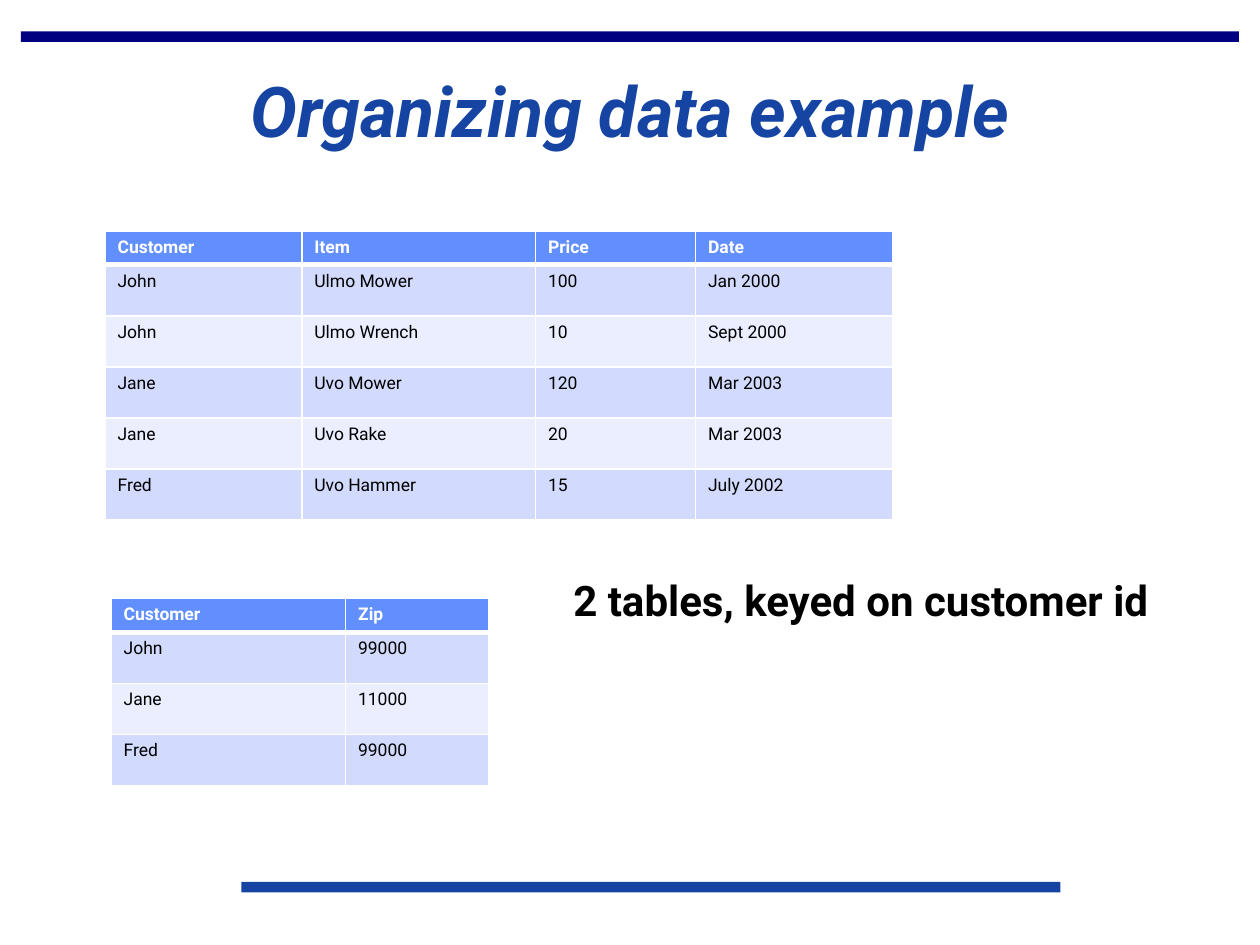
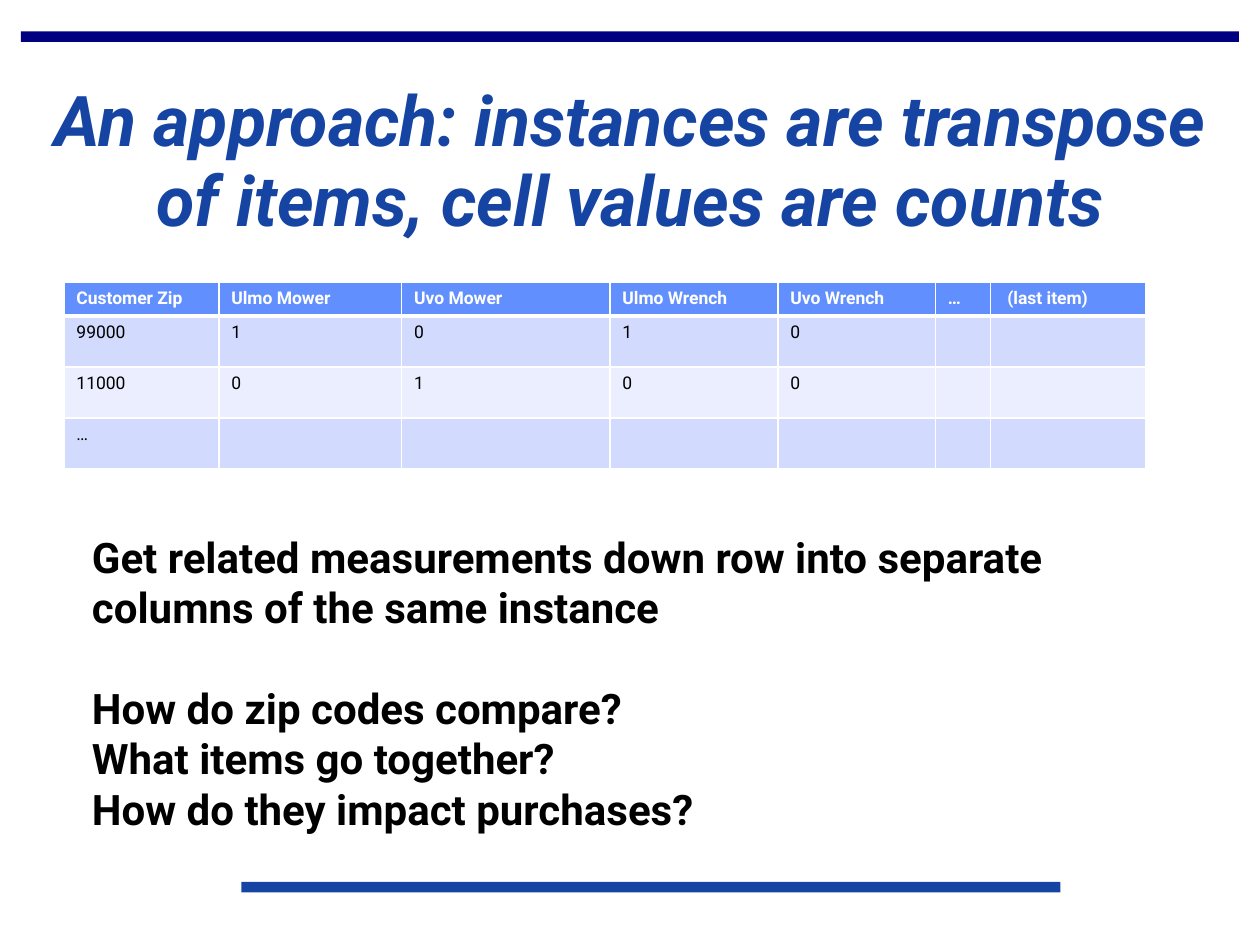
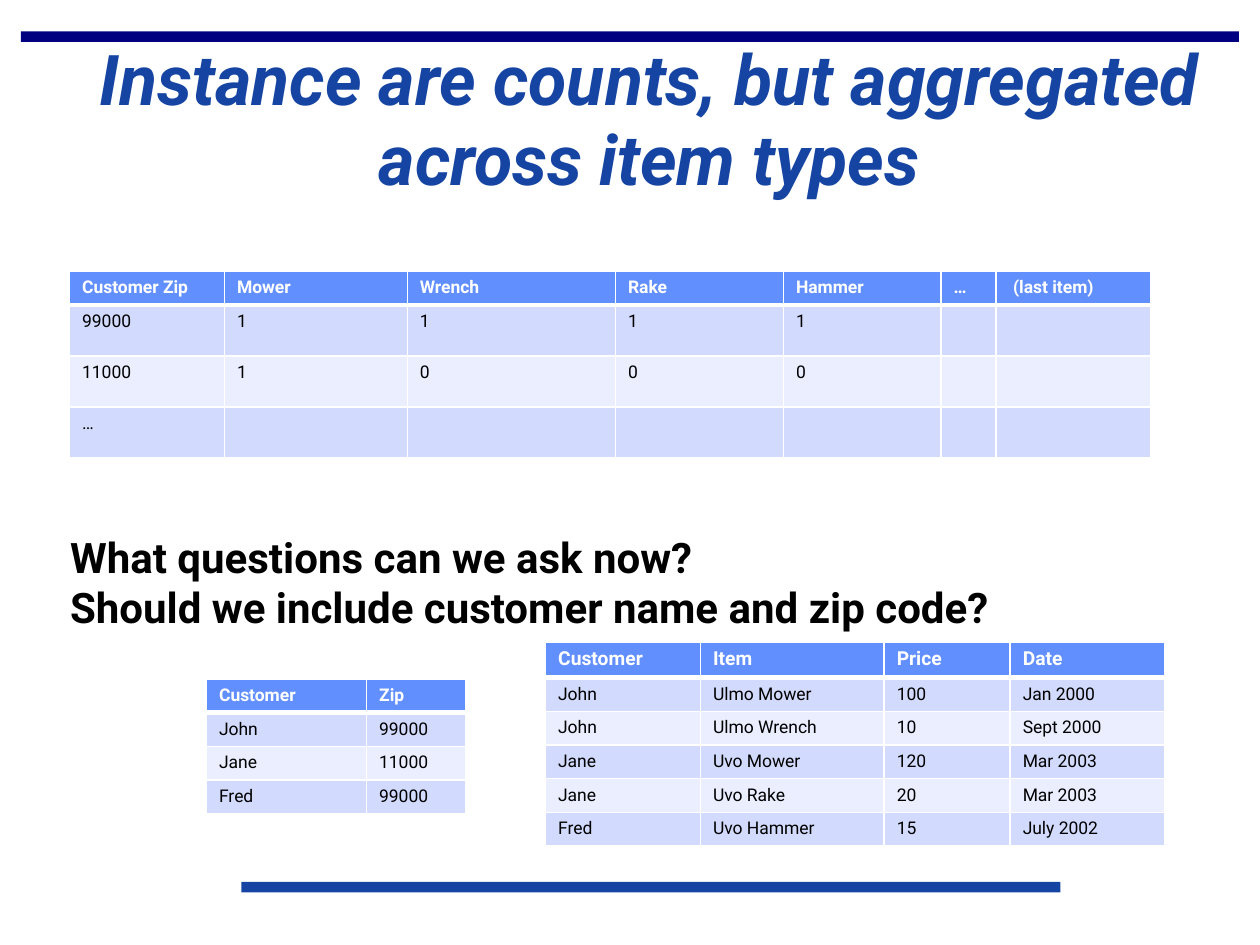
from dataclasses import dataclass

from lxml.etree import SubElement
from pptx import Presentation
from pptx.dml.color import RGBColor as RGB
from pptx.enum.shapes import MSO_SHAPE as Preset
from pptx.enum.text import MSO_ANCHOR as Anchor, PP_ALIGN as Align
from pptx.oxml.ns import qn
from pptx.util import Pt


@dataclass(frozen=True)
class Theme:
    font: str = "Roboto"
    navy: str = "000080"
    blue: str = "1544A3"
    header: str = "618FFD"
    bands: tuple = ("D2DBFE", "EAEEFF")
    white: str = "FFFFFF"
    black: str = "000000"
    title_size: float = 40
    body_size: float = 24
    cell_size: float = 10
    title_spacing: float = 0.95
    title_line: float = 48
    body_line: float = 28.8


THEME = Theme()

# Data shown on more than one slide
PURCHASES = [
    ("Customer", "Item", "Price", "Date"),
    ("John", "Ulmo Mower", "100", "Jan 2000"),
    ("John", "Ulmo Wrench", "10", "Sept 2000"),
    ("Jane", "Uvo Mower", "120", "Mar 2003"),
    ("Jane", "Uvo Rake", "20", "Mar 2003"),
    ("Fred", "Uvo Hammer", "15", "July 2002"),
]
ZIP_CODES = [
    ("Customer", "Zip"),
    ("John", "99000"),
    ("Jane", "11000"),
    ("Fred", "99000"),
]
COUNT_WIDTHS = (88.5, 104.5, 119, 96, 90, 31.5, 88.5)


def count_rows(items, first_counts, second_counts):
    """Rows of a count table: one column per item, one row per zip code."""
    return [
        ("Customer Zip", *items, "…", " (last item)"),
        ("99000", *first_counts, "", ""),
        ("11000", *second_counts, "", ""),
        ("…",) + ("",) * 6,
    ]


def format_runs(paragraph, size, color, bold=False, italic=False):
    for run in paragraph.runs:
        font = run.font
        font.name, font.size = THEME.font, Pt(size)
        font.bold, font.italic = bold, italic
        font.color.rgb = RGB.from_string(color)


def add_bar(slide, left, top, width, color):
    bar = slide.shapes.add_shape(Preset.RECTANGLE, Pt(left), Pt(top), Pt(width), Pt(6))
    bar.shadow.inherit = False
    bar.fill.solid()
    bar.fill.fore_color.rgb = RGB.from_string(color)
    bar.line.fill.background()


def add_text_box(slide, left, top, width, height):
    box = slide.shapes.add_textbox(Pt(left), Pt(top), Pt(width), Pt(height))
    box.text_frame.word_wrap = True
    return box.text_frame


def add_title(slide, text, left, top, raised_lines=0):
    """Title centred in its box; raised_lines keeps room free below the text."""
    text_frame = add_text_box(slide, left, top, 696, 82)
    text_frame.vertical_anchor = Anchor.MIDDLE
    text_frame.margin_bottom = Pt(3.6 + raised_lines * THEME.title_line)
    text_frame.text = text
    paragraph = text_frame.paragraphs[0]
    paragraph.alignment = Align.CENTER
    paragraph.line_spacing = THEME.title_spacing
    format_runs(paragraph, THEME.title_size, THEME.blue, bold=True, italic=True)


def add_body(slide, lines, left, top, width, height):
    text_frame = add_text_box(slide, left, top, width, height)
    text_frame.text = "\n".join(lines)
    for paragraph in text_frame.paragraphs:
        format_runs(paragraph, THEME.body_size, THEME.black, bold=True)
    return text_frame


def set_borders(cell, bottom_width):
    properties = cell._tc.get_or_add_tcPr()
    for side, width in (("L", 1), ("R", 1), ("T", 1), ("B", bottom_width)):
        line = SubElement(properties, qn(f"a:ln{side}"), w=str(Pt(width)))
        fill = SubElement(line, qn("a:solidFill"))
        SubElement(fill, qn("a:srgbClr"), val=THEME.white)


def add_data_table(slide, rows, left, top, widths, header_height=18,
                   row_height=29.2, header_size=THEME.cell_size):
    heights = [header_height] + [row_height] * (len(rows) - 1)
    table = slide.shapes.add_table(
        len(rows), len(widths), Pt(left), Pt(top), Pt(sum(widths)), Pt(sum(heights))
    ).table
    table.horz_banding = False
    for column, width in zip(table.columns, widths):
        column.width = Pt(width)
    for index, (row, height, values) in enumerate(zip(table.rows, heights, rows)):
        row.height = Pt(height)
        is_header = index == 0
        fill = THEME.header if is_header else THEME.bands[(index - 1) % 2]
        size = header_size if is_header else THEME.cell_size
        color = THEME.white if is_header else THEME.black
        for cell, value in zip(row.cells, values):
            cell.text = value
            format_runs(cell.text_frame.paragraphs[0], size, color, bold=is_header)
            set_borders(cell, 3 if is_header else 1)
            cell.fill.solid()
            cell.fill.fore_color.rgb = RGB.from_string(fill)


def add_slide(presentation):
    """Blank slide with the shared bars at top and bottom."""
    slide = presentation.slides.add_slide(presentation.slide_layouts[6])
    add_bar(slide, 12, 18, 696, THEME.navy)
    add_bar(slide, 138, 504, 468, THEME.blue)
    return slide


def build_source_tables(presentation):
    slide = add_slide(presentation)
    add_title(slide, "Organizing data example", 12, 24)
    add_data_table(slide, ZIP_CODES, 63.5, 342, (134, 82))
    add_data_table(slide, PURCHASES, 60, 132, (112.5, 133.5, 91.5, 112.5))
    add_body(slide, ["2 tables, keyed on customer id"], 320.5, 325, 367, 65.5)


def build_item_counts(presentation):
    slide = add_slide(presentation)
    add_title(
        slide,
        "An approach: instances are transpose of items, cell values are counts",
        12, 52,
    )
    items = ("Ulmo Mower", "Uvo Mower", "Ulmo Wrench", "Uvo Wrench")
    add_data_table(slide, count_rows(items, "1010", "0100"), 36.5, 161.25, COUNT_WIDTHS)
    body = add_body(
        slide,
        [
            "Get related measurements down row into separate columns of the same instance",
            "How do zip codes compare?",
            "What items go together?",
            "How do they impact purchases?",
        ],
        45.5, 300, 620, 181.5,
    )
    body.paragraphs[0].space_after = Pt(THEME.body_line)


def build_type_counts(presentation):
    slide = add_slide(presentation)
    add_data_table(slide, PURCHASES, 311.75, 366.75, (88.5, 105, 72, 88.5),
                   header_height=19, row_height=18.6, header_size=11)
    items = ("Mower", "Wrench", "Rake", "Hammer")
    add_data_table(slide, count_rows(items, "1111", "1000"), 39.75, 155, COUNT_WIDTHS)
    add_body(
        slide,
        [
            "What questions can we ask now?",
            "Should we include customer name and zip code?",
        ],
        33, 300, 620, 94.5,
    )
    add_title(
        slide,
        "Instance are counts, but aggregated across item types",
        23, 52.5, raised_lines=1,
    )
    add_data_table(slide, ZIP_CODES, 118, 388, (91.5, 56.5),
                   header_height=19, row_height=19)


def main():
    presentation = Presentation()
    presentation.slide_width, presentation.slide_height = Pt(720), Pt(540)
    build_source_tables(presentation)
    build_item_counts(presentation)
    build_type_counts(presentation)
    presentation.save("out.pptx")


if __name__ == "__main__":
    main()
